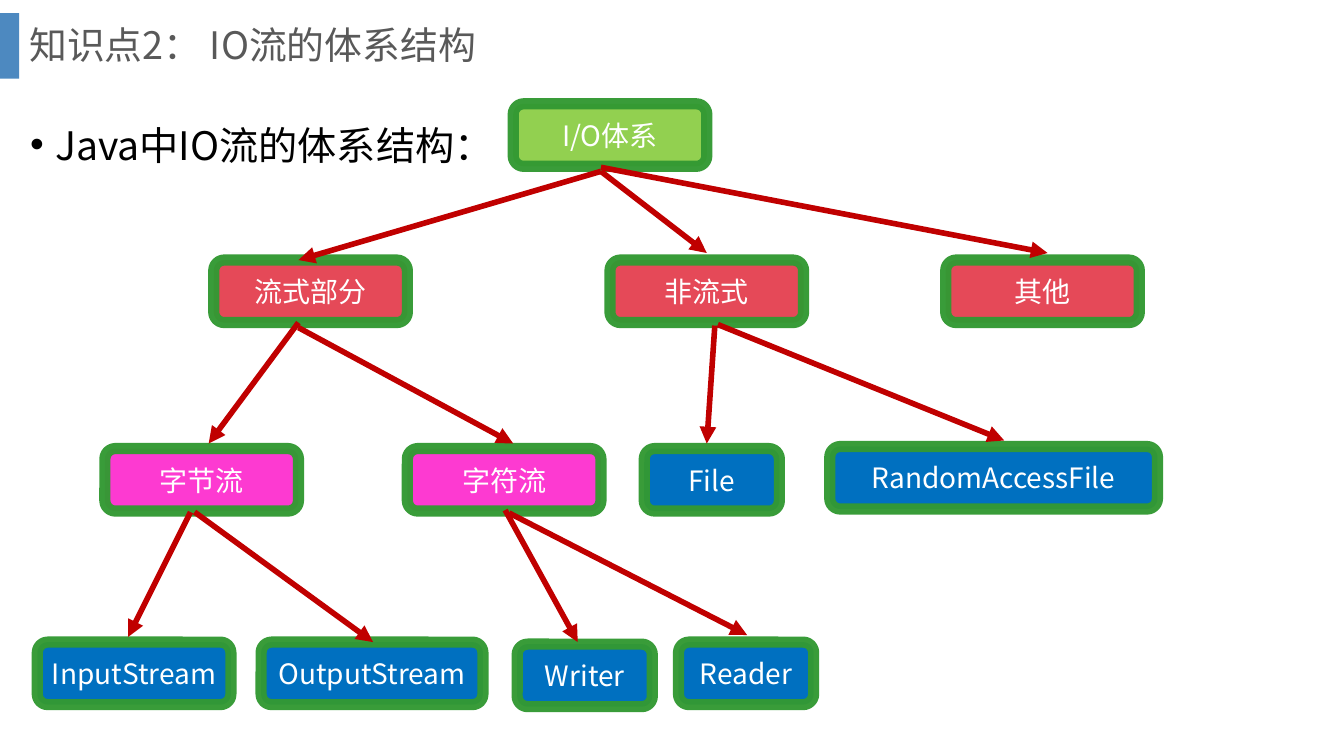
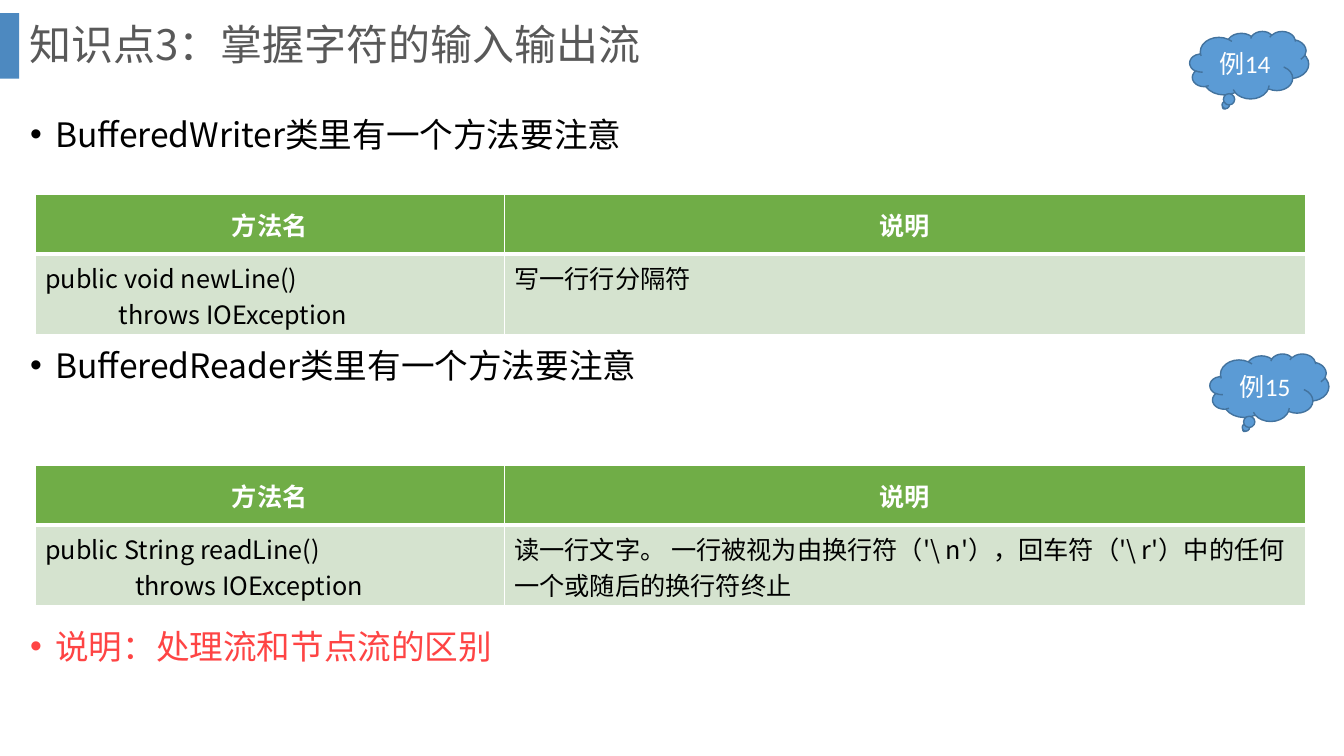
from lxml import etree
from pptx import Presentation
from pptx import util as u
from pptx.dml.color import RGBColor
from pptx.enum import shapes, text
from pptx.oxml.ns import qn

FONT = "Noto Sans CJK SC"
COLORS = {
    "band": "2E75B6", "title": "595959", "black": "000000", "white": "FFFFFF",
    "root": "92D050", "branch": "E54958", "stream": "FD3AD1", "leaf": "0070C0",
    "border": "339933", "arrow": "C00000", "header": "70AD47", "row": "D5E3CF",
    "cloud": "5B9BD5", "cloud_line": "43739E", "note": "FE4444",
}

TREE_TITLE = ("知识点2： IO流的体系结构", 27)
TREE_BULLET = ("Java中IO流的体系结构：", 28, "black", 1.15)
NODE_HEIGHT = 0.62
NODES = [
    ("root", [("I/O体系", 5.09, 1.03, 1.92)]),
    ("branch", [("流式部分", 2.12, 2.58, 1.92), ("非流式", 6.05, 2.58, 1.92),
                ("其他", 9.38, 2.58, 1.92)]),
    ("stream", [("字节流", 1.04, 4.45, 1.92), ("字符流", 4.04, 4.45, 1.92)]),
    ("leaf", [("InputStream", 0.37, 6.37, 1.92), ("OutputStream", 2.59, 6.37, 2.2),
              ("Writer", 5.13, 6.39, 1.34), ("Reader", 6.73, 6.37, 1.34),
              ("File", 6.39, 4.45, 1.34), ("RandomAccessFile", 8.23, 4.43, 3.25)]),
]
ARROWS = [
    (5.96, 1.7, 2.96, 2.58), (5.96, 1.7, 7.01, 2.51), (5.96, 1.66, 10.39, 2.51),
    (2.96, 3.2, 2.07, 4.4), (2.96, 3.25, 5.09, 4.4),
    (7.12, 3.22, 9.96, 4.37), (7.09, 3.23, 7.01, 4.4),
    (1.89, 5.08, 1.27, 6.32), (1.93, 5.08, 3.7, 6.37),
    (5.01, 5.06, 5.73, 6.37), (5.05, 5.09, 7.41, 6.3),
]

METHOD_TITLE = ("知识点3：掌握字符的输入输出流", 30)
METHOD_BULLETS = [
    ("BufferedWriter类里有一个方法要注意", 24, "black", 1.08),
    ("BufferedReader类里有一个方法要注意", 24, "black", 3.37),
    ("说明：处理流和节点流的区别", 24, "note", 6.16),
]
HEADINGS = ("方法名", "说明")
COLUMNS = (4.65, 7.95)
ROWS = (0.59, 0.8)
METHODS = [
    (1.93, "public void newLine()", 0.73, "写一行行分隔符"),
    (4.62, "public String readLine()", 0.89,
     r"读一行文字。 一行被视为由换行符（'\ n'），回车符（'\ r'）中的任何一个或随后的换行符终止"),
]
THROWS = "throws IOException"
CLOUDS = [("例14", 11.8, 0.31), ("例15", 12, 3.51)]


def rgb(name):
    return RGBColor.from_string(COLORS[name])


def inches(*lengths):
    return [u.Inches(length) for length in lengths]


def add_alpha(fill_parent, percent):
    color = fill_parent.find(".//" + qn("a:srgbClr"))
    etree.SubElement(color, qn("a:alpha"), val=str(percent * 1000))


def write(para, words, size, color, font=FONT, bold=False):
    span = para.add_run()
    span.text = words
    span.font.size = u.Pt(size)
    span.font.bold = bold
    span.font.name = font
    span.font.color.rgb = rgb(color)
    latin = span.font._element.find(qn("a:latin"))
    latin.addnext(latin.makeelement(qn("a:ea"), typeface=FONT))


def add_box(page, kind, place, fill, line=None, width=1):
    box = page.shapes.add_shape(kind, *inches(*place))
    box.shadow.inherit = False
    box.fill.solid()
    box.fill.fore_color.rgb = rgb(fill)
    if line:
        box.line.color.rgb = rgb(line)
        box.line.width = u.Pt(width)
    else:
        box.line.fill.background()
    return box


def label(box, words, size, font=FONT):
    frame = box.text_frame
    frame.word_wrap = True
    frame.vertical_anchor = text.MSO_ANCHOR.MIDDLE
    para = frame.paragraphs[0]
    para.alignment = text.PP_ALIGN.CENTER
    write(para, words, size, "white", font)


def add_page(deck, words, size):
    page = deck.slides.add_slide(deck.slide_layouts[5])
    band = add_box(page, shapes.MSO_SHAPE.RECTANGLE, (0, 0.13, 0.19, 0.65), "band")
    add_alpha(band._element.spPr, 85)
    title = page.shapes.title
    title.left, title.top, title.width, title.height = inches(0.19, 0, 12.66, 0.93)
    frame = title.text_frame
    frame.auto_size = text.MSO_AUTO_SIZE.NONE
    frame.vertical_anchor = text.MSO_ANCHOR.MIDDLE
    para = frame.paragraphs[0]
    para.alignment = text.PP_ALIGN.LEFT
    para.line_spacing = 0.9
    write(para, words, size, "title")
    return page


def add_bullet(page, words, size, color, top):
    box = page.shapes.add_textbox(*inches(0.2, top, 12.9, 0.7))
    box.text_frame.word_wrap = True
    para = box.text_frame.paragraphs[0]
    write(para, words, size, color)
    props = para._p.get_or_add_pPr()
    props.set("marL", str(u.Inches(0.25)))
    props.set("indent", str(-u.Inches(0.25)))
    etree.SubElement(props, qn("a:buFont"), typeface="Arial")
    etree.SubElement(props, qn("a:buChar"), char="•")


def add_arrow(page, ends):
    arrow = page.shapes.add_connector(shapes.MSO_CONNECTOR.STRAIGHT, *inches(*ends))
    arrow.line.color.rgb = rgb("arrow")
    arrow.line.width = u.Pt(4)
    etree.SubElement(arrow.line._get_or_add_ln(), qn("a:tailEnd"), type="triangle")
    etree.SubElement(arrow._element.spPr, qn("a:effectLst"))


def style_cell(cell, fill, bottom):
    props = cell._tc.get_or_add_tcPr()
    for side, width in (("L", 1), ("R", 1), ("T", 1), ("B", bottom)):
        line = etree.SubElement(props, qn("a:ln" + side), w=str(u.Pt(width)))
        solid = etree.SubElement(line, qn("a:solidFill"))
        etree.SubElement(solid, qn("a:srgbClr"), val=COLORS["white"])
    cell.fill.solid()
    cell.fill.fore_color.rgb = rgb(fill)


def add_method_table(page, top, method, indent, meaning):
    frame = page.shapes.add_table(2, 2, *inches(0.35, top, sum(COLUMNS), sum(ROWS)))
    table = frame.table
    for row, height in zip(table.rows, ROWS):
        row.height = u.Inches(height)
    for index, width in enumerate(COLUMNS):
        table.columns[index].width = u.Inches(width)
        head, body = table.cell(0, index), table.cell(1, index)
        style_cell(head, "header", 3)
        style_cell(body, "row", 1)
        head.vertical_anchor = text.MSO_ANCHOR.MIDDLE
        para = head.text_frame.paragraphs[0]
        para.alignment = text.PP_ALIGN.CENTER
        write(para, HEADINGS[index], 18, "white", bold=True)
        write(body.text_frame.paragraphs[0], (method, meaning)[index], 18, "black")
    signature = table.cell(1, 0)
    signature.vertical_anchor = text.MSO_ANCHOR.MIDDLE
    para = signature.text_frame.add_paragraph()
    para._p.get_or_add_pPr().set("marL", str(u.Inches(indent)))
    write(para, THROWS, 18, "black")


def build_tree(deck):
    page = add_page(deck, *TREE_TITLE)
    add_bullet(page, *TREE_BULLET)
    for fill, nodes in NODES:
        for words, left, top, width in nodes:
            place = (left, top, width, NODE_HEIGHT)
            box = add_box(page, shapes.MSO_SHAPE.ROUNDED_RECTANGLE, place, fill, "border", 8)
            add_alpha(box.line._get_or_add_ln(), 96)
            label(box, words, 20)
    for ends in ARROWS:
        add_arrow(page, ends)


def build_methods(deck):
    page = add_page(deck, *METHOD_TITLE)
    for bullet in METHOD_BULLETS:
        add_bullet(page, *bullet)
    for method in METHODS:
        add_method_table(page, *method)
    for words, left, top in CLOUDS:
        place = (left, top, 1.18, 0.67)
        cloud = add_box(page, shapes.MSO_SHAPE.CLOUD_CALLOUT, place, "cloud", "cloud_line")
        label(cloud, words, 18, "Calibri")


def main():
    deck = Presentation()
    deck.slide_width, deck.slide_height = inches(13.33, 7.5)
    build_tree(deck)
    build_methods(deck)
    deck.save("out.pptx")


if __name__ == "__main__":
    main()
